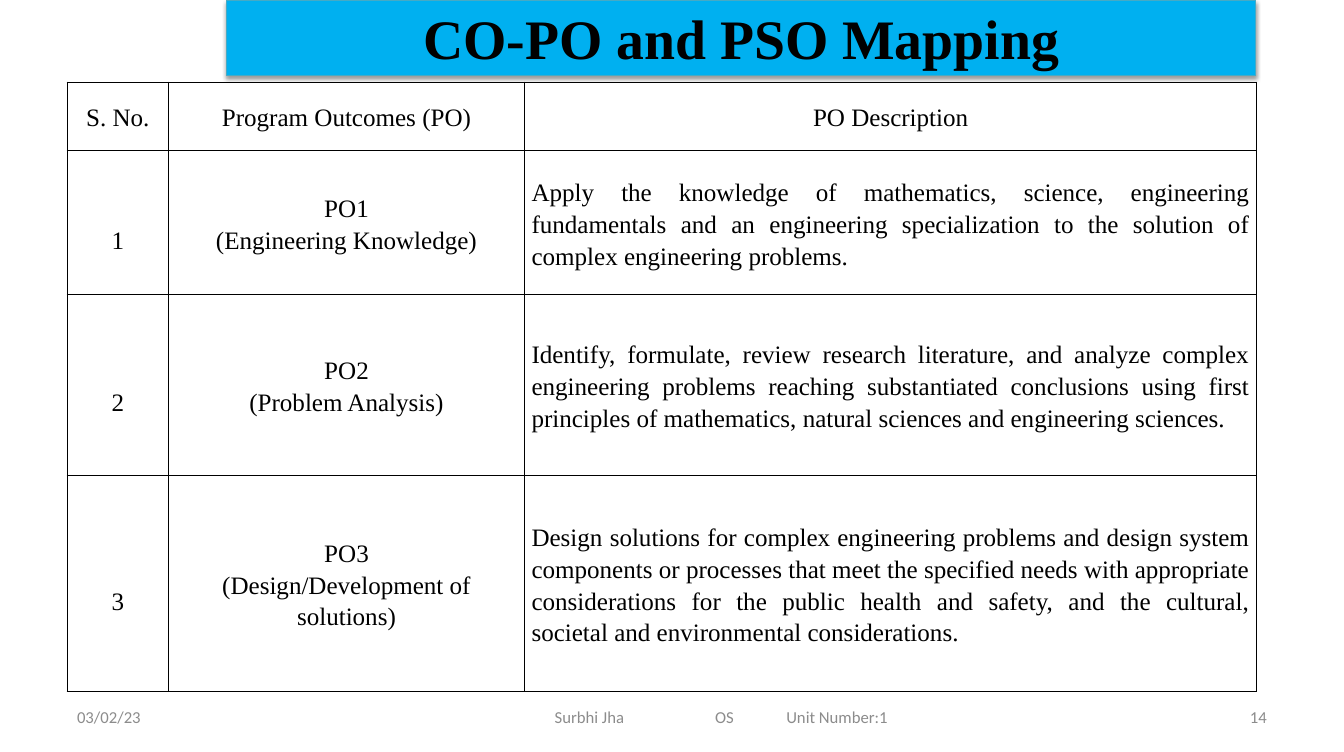
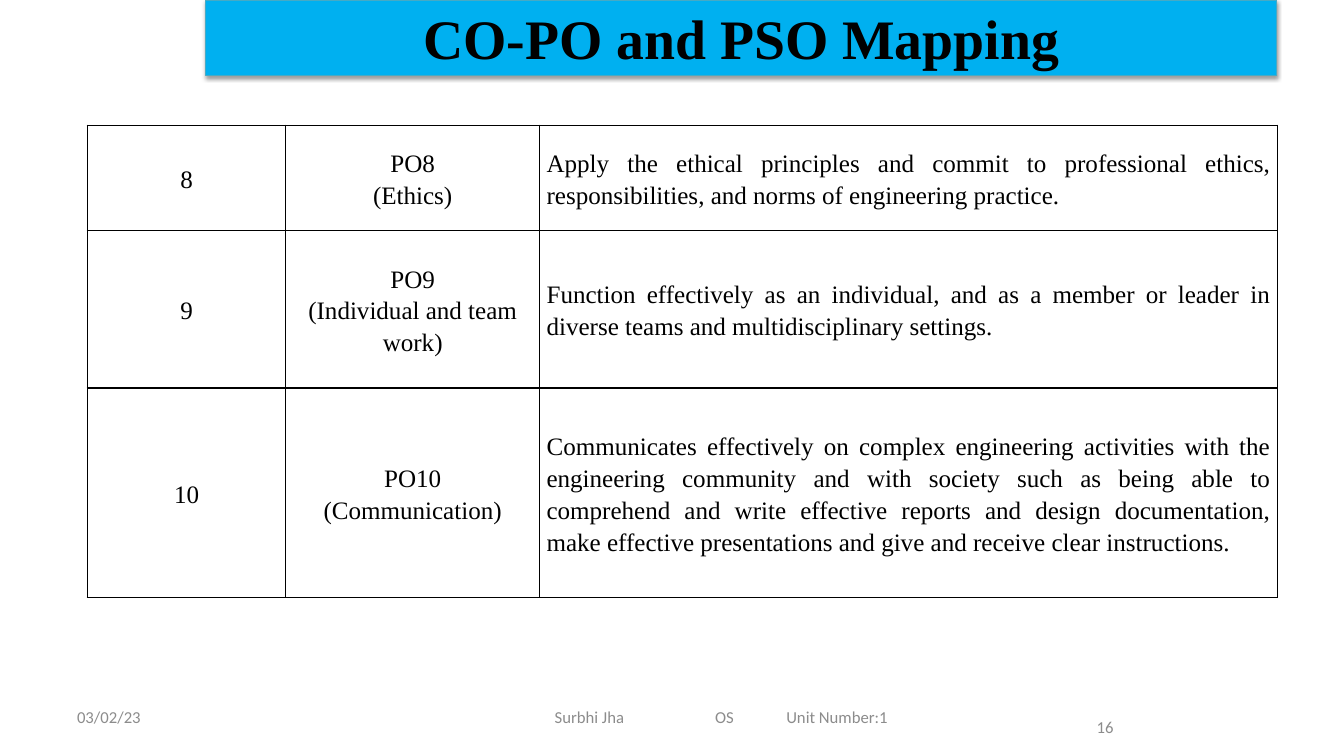
from dataclasses import dataclass

import pptx
import pptx.dml.color
import pptx.enum.shapes
import pptx.enum.text
import pptx.oxml
import pptx.oxml.ns
import pptx.util

SCALE = 9144  # EMU per px, 100 px to the inch
HUES = {"ink": "000000", "page": "FFFFFF", "band": "00B0F0",
        "edge": "46AAC5", "foot": "8C8C8C"}
SERIF, SANS = "Times New Roman", "Calibri"
TITLE = "CO-PO and PSO Mapping"
DATE = "03/02/23"
NOTE = "Surbhi Jha\tOS\tUnit Number:1"
NOTE_TABS = (160, 231)
ALIGN = pptx.enum.text.PP_ALIGN
MIDDLE = pptx.enum.text.MSO_ANCHOR.MIDDLE
Box = tuple[int, int, int, int]


@dataclass
class Row:
    high: int
    cells: tuple[str, str, str]
    drop: int = 0  # top inset that lowers the number


@dataclass
class Page:
    band: Box
    left: int
    top: int
    cols: tuple[int, int, int]
    rows: list[Row]
    num: str
    num_box: Box
    head: bool = False


PAGES = [
    Page((226, 0, 1026, 75), 67, 82, (101, 355, 730), [
        Row(68, ("S. No.", "Program Outcomes (PO)", "PO Description")),
        Row(144, ("1", "PO1\n(Engineering Knowledge)",
                  "Apply the knowledge of mathematics, science, engineering "
                  "fundamentals and an engineering specialization to the "
                  "solution of complex engineering problems."), 32),
        Row(180, ("2", "PO2\n(Problem Analysis)",
                  "Identify, formulate, review research literature, and "
                  "analyze complex engineering problems reaching "
                  "substantiated conclusions using first principles of "
                  "mathematics, natural sciences and engineering "
                  "sciences."), 32),
        Row(216, ("3", "PO3\n(Design/Development of solutions)",
                  "Design solutions for complex engineering problems and "
                  "design system components or processes that meet the "
                  "specified needs with appropriate considerations for the "
                  "public health and safety, and the cultural, societal and "
                  "environmental considerations."), 32),
    ], "14", (960, 695, 313, 40), head=True),
    Page((205, 0, 1068, 75), 87, 125, (198, 253, 736), [
        Row(105, ("8", "PO8\n(Ethics)",
                  "Apply the ethical principles and commit to professional "
                  "ethics, responsibilities, and norms of engineering "
                  "practice.")),
        Row(157, ("9", "PO9\n(Individual and team work)",
                  "Function effectively as an individual, and as a member "
                  "or leader in diverse teams and multidisciplinary "
                  "settings.")),
        Row(209, ("10", "PO10\n(Communication)",
                  "Communicates effectively on complex engineering "
                  "activities with the engineering community and with "
                  "society such as being able to comprehend and write "
                  "effective reports and design documentation, make "
                  "effective presentations and give and receive clear "
                  "instructions.")),
    ], "16", (985, 705, 135, 40)),
]


def px(size: int) -> int:
    return pptx.util.Emu(size * SCALE)


def hue(name: str) -> pptx.dml.color.RGBColor:
    return pptx.dml.color.RGBColor.from_string(HUES[name])


def node(xml: str):
    """Parse one drawing element, given without its namespace."""
    tag, rest = xml[:-2].split(" ", 1) if xml.endswith("/>") else xml.split(" ", 1)
    tail = "/>" if xml.endswith("/>") else ""
    return pptx.oxml.parse_xml(
        f"{tag} {pptx.oxml.ns.nsdecls('a')} {rest}{tail}")


def style(frame, align, font: str, size: int, tint: str,
          bold: bool = False, space: float | None = None) -> None:
    for par in frame.paragraphs:
        par.alignment = align
        if space:
            par.line_spacing = space
        par.font.name, par.font.size = font, pptx.util.Pt(size)
        par.font.bold = bold
        par.font.color.rgb = hue(tint)


# Table
def rule(cell) -> None:
    props = cell._tc.get_or_add_tcPr()
    for spot, side in enumerate("LRTB"):
        props.insert(spot, node(
            f'<a:ln{side} w="12700"><a:solidFill><a:srgbClr val="{HUES["ink"]}"/>'
            f'</a:solidFill></a:ln{side}>'))


def draw_grid(slide, page: Page) -> None:
    grid = slide.shapes.add_table(
        len(page.rows), len(page.cols), px(page.left), px(page.top),
        px(sum(page.cols)), px(sum(row.high for row in page.rows))).table
    grid.first_row = grid.horz_banding = False
    for col, wide in zip(grid.columns, page.cols):
        col.width = px(wide)
    for r, row in enumerate(page.rows):
        grid.rows[r].height = px(row.high)
        for c, text in enumerate(row.cells):
            cell = grid.cell(r, c)
            cell.text = text
            cell.vertical_anchor = MIDDLE
            cell.margin_left = cell.margin_right = px(7)
            cell.margin_top = px(row.drop if c == 0 else 0)
            cell.margin_bottom = 0
            cell.fill.solid()
            cell.fill.fore_color.rgb = hue("page")
            rule(cell)
            prose = c == 2 and not (page.head and r == 0)
            style(cell.text_frame, ALIGN.JUSTIFY if prose else ALIGN.CENTER,
                  SERIF, 18, "ink", space=1.15)


# Footer
def draw_note(slide, box: Box, text: str, align=ALIGN.LEFT,
              inset: int = 10, tabs: tuple[int, ...] = ()) -> None:
    frame = slide.shapes.add_textbox(*map(px, box)).text_frame
    frame.word_wrap = True
    frame.vertical_anchor = MIDDLE
    frame.margin_left = px(inset)
    frame.text = text
    if tabs:
        stops = "".join(f'<a:tab pos="{px(tab)}" algn="l"/>' for tab in tabs)
        props = frame.paragraphs[0]._p.get_or_add_pPr()
        props.append(node(f"<a:tabLst >{stops}</a:tabLst>"))
    style(frame, align, SANS, 12, "foot")


# Title band
def draw_band(slide, box: Box) -> None:
    band = slide.shapes.add_shape(
        pptx.enum.shapes.MSO_SHAPE.RECTANGLE, *map(px, box))
    band.fill.solid()
    band.fill.fore_color.rgb = hue("band")
    band.line.color.rgb = hue("edge")
    band.line.width = pptx.util.Pt(0.75)
    band.shadow.inherit = False
    band._element.spPr.find(pptx.oxml.ns.qn("a:effectLst")).append(node(
        '<a:outerShdw blurRad="39370" dist="20320" dir="5400000" '
        f'rotWithShape="0"><a:srgbClr val="{HUES["ink"]}">'
        '<a:alpha val="38000"/></a:srgbClr></a:outerShdw>'))
    frame = band.text_frame
    frame.word_wrap = True
    frame.vertical_anchor = MIDDLE
    frame.text = TITLE
    style(frame, ALIGN.CENTER, SERIF, 40, "ink", bold=True)


def main() -> None:
    deck = pptx.Presentation()
    deck.slide_width, deck.slide_height = px(1340), px(750)
    for page in PAGES:
        slide = deck.slides.add_slide(deck.slide_layouts[6])
        draw_grid(slide, page)
        draw_note(slide, (67, 695, 313, 40), DATE)
        draw_note(slide, (445, 695, 550, 40), NOTE, inset=108, tabs=NOTE_TABS)
        draw_note(slide, page.num_box, page.num, ALIGN.RIGHT)
        draw_band(slide, page.band)
    deck.save("out.pptx")


if __name__ == "__main__":
    main()
